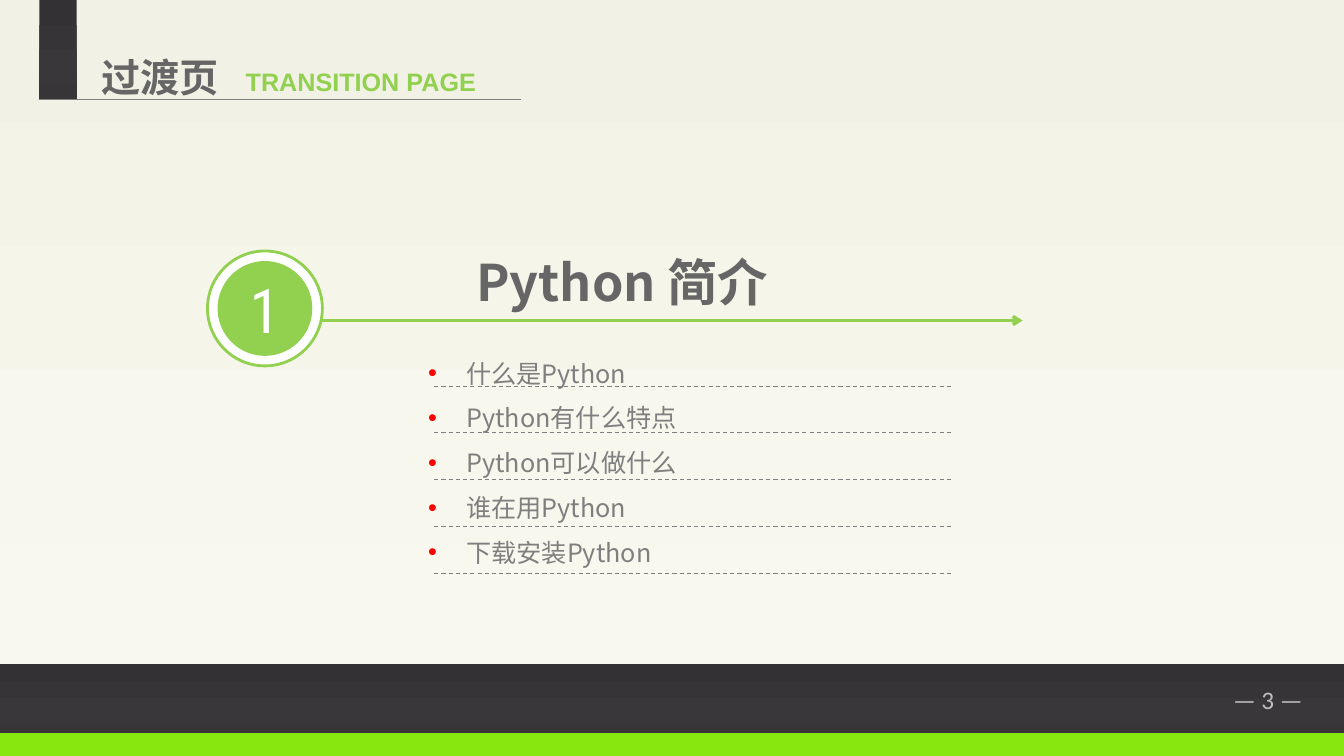
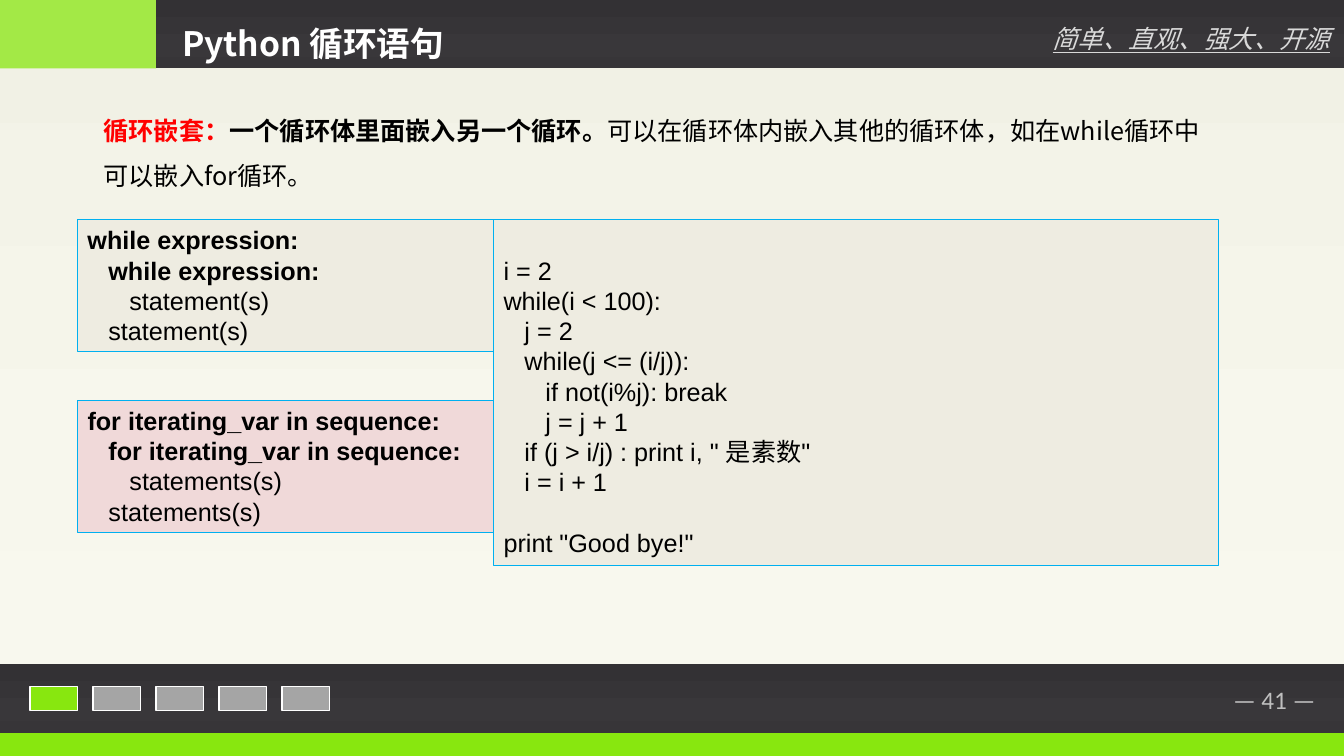
from dataclasses import dataclass

from lxml import etree
from pptx import Presentation
from pptx.dml.color import RGBColor
from pptx.enum.dml import MSO_LINE
from pptx.enum.shapes import MSO_CONNECTOR, MSO_SHAPE
from pptx.enum.text import MSO_ANCHOR, PP_ALIGN
from pptx.oxml.ns import qn
from pptx.util import Inches, Pt

RECTANGLE = MSO_SHAPE.RECTANGLE
OVAL = MSO_SHAPE.OVAL
STRAIGHT = MSO_CONNECTOR.STRAIGHT
DASH = MSO_LINE.DASH
LEFT, CENTER = PP_ALIGN.LEFT, PP_ALIGN.CENTER
TOP, MIDDLE = MSO_ANCHOR.TOP, MSO_ANCHOR.MIDDLE


@dataclass(frozen=True)
class Theme:
    lime: str = "88E70F"
    green: str = "92D050"
    blue: str = "00B0F0"
    red: str = "FF0000"
    white: str = "FFFFFF"
    black: str = "000000"
    heading: str = "666666"
    muted: str = "7F7F7F"
    rule: str = "808080"
    inactive: str = "A5A5A5"
    number: str = "BFBFBF"
    motto: str = "D9D9D9"
    sand: str = "EEECE1"
    rose: str = "F0D9D9"
    paper: tuple = ((0, "F1F1E5"), (74, "F7F7ED"), (83, "F8F8EE"), (100, "F9F9EF"))
    dark: tuple = ((0, "333134"), (74, "39373A"), (83, "373538"), (100, "363436"))
    cjk: str = "Noto Sans CJK SC"
    latin: str = "Arial"
    footer: str = "Calibri"
    numeral: str = "Roboto Condensed"
    body: int = 18
    title: int = 24
    section: int = 28
    chapter: int = 36
    badge: int = 44
    code_pitch: float = 21.6


THEME = Theme()


@dataclass(frozen=True)
class Box:
    left: float
    top: float
    width: float
    height: float

    def area(self, left, top, width, height):
        return Box(self.left + left, self.top + top, width, height)

    def inset(self, gap):
        return self.area(gap, gap, self.width - 2 * gap, self.height - 2 * gap)

    def lengths(self):
        return [grid(value) for value in (self.left, self.top, self.width, self.height)]


COLUMNS, ROWS = 133.4, 75
PAGE = Box(0, 0, COLUMNS, ROWS)


def grid(count):
    return Inches(count / 10)


def color(value):
    return RGBColor.from_string(value)


def paint_gradient(shape, stops):
    shape.fill.gradient()
    shape.fill.gradient_angle = 270
    stop_list = shape._element.spPr.find(qn("a:gradFill")).find(qn("a:gsLst"))
    for stop in list(stop_list):
        stop_list.remove(stop)
    for position, value in stops:
        stop = etree.SubElement(stop_list, qn("a:gs"), pos=str(position * 1000))
        etree.SubElement(stop, qn("a:srgbClr"), val=value)


def add_block(slide, box, fill, kind=RECTANGLE, line=None, line_width=0.75, opacity=None):
    shape = slide.shapes.add_shape(kind, *box.lengths())
    shape.shadow.inherit = False
    if isinstance(fill, tuple):
        paint_gradient(shape, fill)
    else:
        shape.fill.solid()
        shape.fill.fore_color.rgb = color(fill)
    if opacity is not None:
        value = shape._element.spPr.find(qn("a:solidFill"))[0]
        etree.SubElement(value, qn("a:alpha"), val=str(opacity * 1000))
    if line:
        shape.line.color.rgb = color(line)
        shape.line.width = Pt(line_width)
    else:
        shape.line.fill.background()
    return shape


def add_rule(slide, box, value, width=0.75, dash=None, arrow=False):
    start, level = grid(box.left), grid(box.top)
    connector = slide.shapes.add_connector(STRAIGHT, start, level, start + grid(box.width), level)
    connector.line.color.rgb = color(value)
    connector.line.width = Pt(width)
    if dash:
        connector.line.dash_style = dash
    properties = connector._element.spPr
    if arrow:
        etree.SubElement(properties.find(qn("a:ln")), qn("a:tailEnd"), type="arrow")
    etree.SubElement(properties, qn("a:effectLst"))


def add_bullet(paragraph, value):
    properties = paragraph._p.get_or_add_pPr()
    indent = Inches(0.38)
    properties.set("marL", str(indent))
    properties.set("indent", str(-indent))
    bullet_color = etree.SubElement(properties, qn("a:buClr"))
    etree.SubElement(bullet_color, qn("a:srgbClr"), val=value)
    etree.SubElement(properties, qn("a:buFont"), typeface=THEME.latin)
    etree.SubElement(properties, qn("a:buChar"), char="•")


def write(shape, paragraphs, font=THEME.cjk, size=THEME.body, value=THEME.black, bold=False,
          italic=False, underline=False, align=LEFT, anchor=TOP, pitch=None, gap=0,
          bullet=None, top_margin=0.05, wrap=True):
    frame = shape.text_frame
    frame.word_wrap = wrap
    frame.vertical_anchor = anchor
    frame.margin_top = Inches(top_margin)
    for index, runs in enumerate(paragraphs):
        paragraph = frame.add_paragraph() if index else frame.paragraphs[0]
        paragraph.alignment = align
        if pitch:
            paragraph.line_spacing = Pt(pitch)
        if index and gap:
            paragraph.space_before = Pt(gap)
        if bullet:
            add_bullet(paragraph, bullet)
        for text, changes in ([(runs, {})] if isinstance(runs, str) else runs):
            run = paragraph.add_run()
            run.text = text
            run.font.size = Pt(size)
            run.font.bold = changes.get("bold", bold)
            run.font.italic = italic
            run.font.underline = underline
            run.font.color.rgb = color(changes.get("value", value))
            run.font.name = font
            etree.SubElement(run._r.get_or_add_rPr(), qn("a:ea"), typeface=THEME.cjk)
    return frame


def add_text(slide, box, *paragraphs, **text_format):
    return write(slide.shapes.add_textbox(*box.lengths()), paragraphs, **text_format)


def add_heading(slide, box, text, size, **text_format):
    add_text(slide, box, text, size=size, pitch=size * 1.3, **text_format)


def add_frame(slide, page, number):
    add_block(slide, page.area(0, 0, page.width, 65.9), THEME.paper)
    add_block(slide, page.area(0, 72.6, page.width, 2.4), THEME.lime)
    add_block(slide, page.area(0, 65.9, page.width, 6.8), THEME.dark)
    add_text(slide, page.area(121.4, 67.4, 11.9, 4), f"— {number} —",
             font=THEME.footer, value=THEME.number)


def add_section_label(slide, box, title, subtitle):
    add_block(slide, box.area(0, 0, 3.7, box.height), THEME.dark)
    add_heading(slide, box.area(5.2, 4.4, 15.9, 5.7), title, THEME.section,
                value=THEME.heading, bold=True)
    add_text(slide, box.area(19.5, 6.1, 26.8, 4), subtitle,
             font=THEME.latin, value=THEME.green, bold=True)
    add_rule(slide, box.area(0, box.height, box.width, 0), THEME.muted)


def add_chapter(slide, box, number, title):
    ring = box.area(0, 1, 11.4, 11.4)
    add_block(slide, ring, THEME.white, kind=OVAL, line=THEME.green, line_width=2)
    badge = add_block(slide, ring.inset(1), THEME.green, kind=OVAL)
    write(badge, [number], font=THEME.numeral, size=THEME.badge, value=THEME.white,
          align=CENTER, anchor=MIDDLE, wrap=False)
    add_rule(slide, box.area(ring.width, 7.9, box.width - ring.width, 0), THEME.green,
             width=2.25, arrow=True)
    add_heading(slide, box.area(12.6, 0, 57.1, 7.1), title, THEME.chapter,
                value=THEME.heading, bold=True, align=CENTER)


def add_topics(slide, box, topics):
    add_text(slide, box, *topics, value=THEME.muted, pitch=26, gap=6, bullet=THEME.red)
    first, last = 3.9, 22.5
    step = (last - first) / (len(topics) - 1)
    for index in range(len(topics)):
        add_rule(slide, box.area(1.6, first + index * step, 51.3, 0), THEME.rule, dash=DASH)


def add_title_band(slide, box, title, motto):
    accent = 15.5
    add_block(slide, box.area(0, 0, accent, box.height), THEME.lime, opacity=74)
    add_block(slide, box.area(accent, 0, box.width - accent, box.height), THEME.dark)
    add_heading(slide, box.area(17.1, 1.4, 63.8, 5), title, THEME.title,
                value=THEME.white, bold=True)
    add_heading(slide, box.area(103.5, 1.6, 29.9, 4), motto, THEME.body,
                value=THEME.motto, italic=True, underline=True)


def add_progress(slide, box, count, active):
    width = 4.7
    step = (box.width - width) / (count - 1)
    for index in range(count):
        fill = THEME.lime if index == active else THEME.inactive
        add_block(slide, box.area(index * step, 0, width, box.height), fill,
                  line=THEME.white, line_width=1.2)


def add_code(slide, box, lines, fill=THEME.sand, **text_format):
    block = add_block(slide, box, fill, line=THEME.blue)
    return write(block, lines, font=THEME.latin, pitch=THEME.code_pitch, **text_format)


def add_loop_pattern(slide, box, header, statement, fill):
    strong = {"bold": True}
    add_code(slide, box, [[(header, strong)], [("   " + header, strong)],
                          "      " + statement, "   " + statement], fill)


def add_code_area(slide, box):
    add_loop_pattern(slide, box.area(0, 17.9, 43.9, 13.1),
                     "for iterating_var in sequence:", "statements(s)", THEME.rose)
    add_loop_pattern(slide, box.area(0, 0, 41.3, 13.1),
                     "while expression:", "statement(s)", THEME.sand)
    program = add_code(slide, box.area(41.3, 0, 72, box.height), [
        "i = 2",
        "while(i < 100):",
        "   j = 2",
        "   while(j <= (i/j)):",
        "      if not(i%j): break",
        "      j = j + 1",
        '   if (j > i/j) : print i, " 是素数"',
        "   i = i + 1",
        'print "Good bye!"',
    ], top_margin=0.35)
    program.paragraphs[-1].space_before = Pt(THEME.code_pitch)


def build_transition(slide, page):
    add_frame(slide, page, 3)
    add_section_label(slide, page.area(3.9, 0, 47.8, 9.9), "过渡页", "TRANSITION PAGE")
    add_chapter(slide, page.area(20.6, 23.9, 80.9, 12.4), "1", "Python 简介")
    add_topics(slide, page.area(41.5, 34.4, 52.9, 22.6), [
        "什么是Python", "Python有什么特点", "Python可以做什么", "谁在用Python", "下载安装Python",
    ])


def build_nested_loops(slide, page):
    add_frame(slide, page, 41)
    add_title_band(slide, page.area(0, 0, page.width, 6.8),
                   "Python 循环语句", "简单、直观、强大、开源")
    add_progress(slide, page.area(3, 68.1, 29.7, 2.4), 5, 0)
    add_text(slide, page.area(9.3, 9.5, 111.4, 9.6), [
        ("循环嵌套：", {"value": THEME.red, "bold": True}),
        ("一个循环体里面嵌入另一个循环。", {"bold": True}),
        ("可以在循环体内嵌入其他的循环体，如在while循环中可以嵌入for循环。", {}),
    ], pitch=32.2)
    add_code_area(slide, page.area(7.7, 21.8, 113.3, 34.3))


def main():
    presentation = Presentation()
    presentation.slide_width, presentation.slide_height = grid(COLUMNS), grid(ROWS)
    blank = presentation.slide_layouts[6]
    for build in (build_transition, build_nested_loops):
        build(presentation.slides.add_slide(blank), PAGE)
    presentation.save("out.pptx")


if __name__ == "__main__":
    main()
